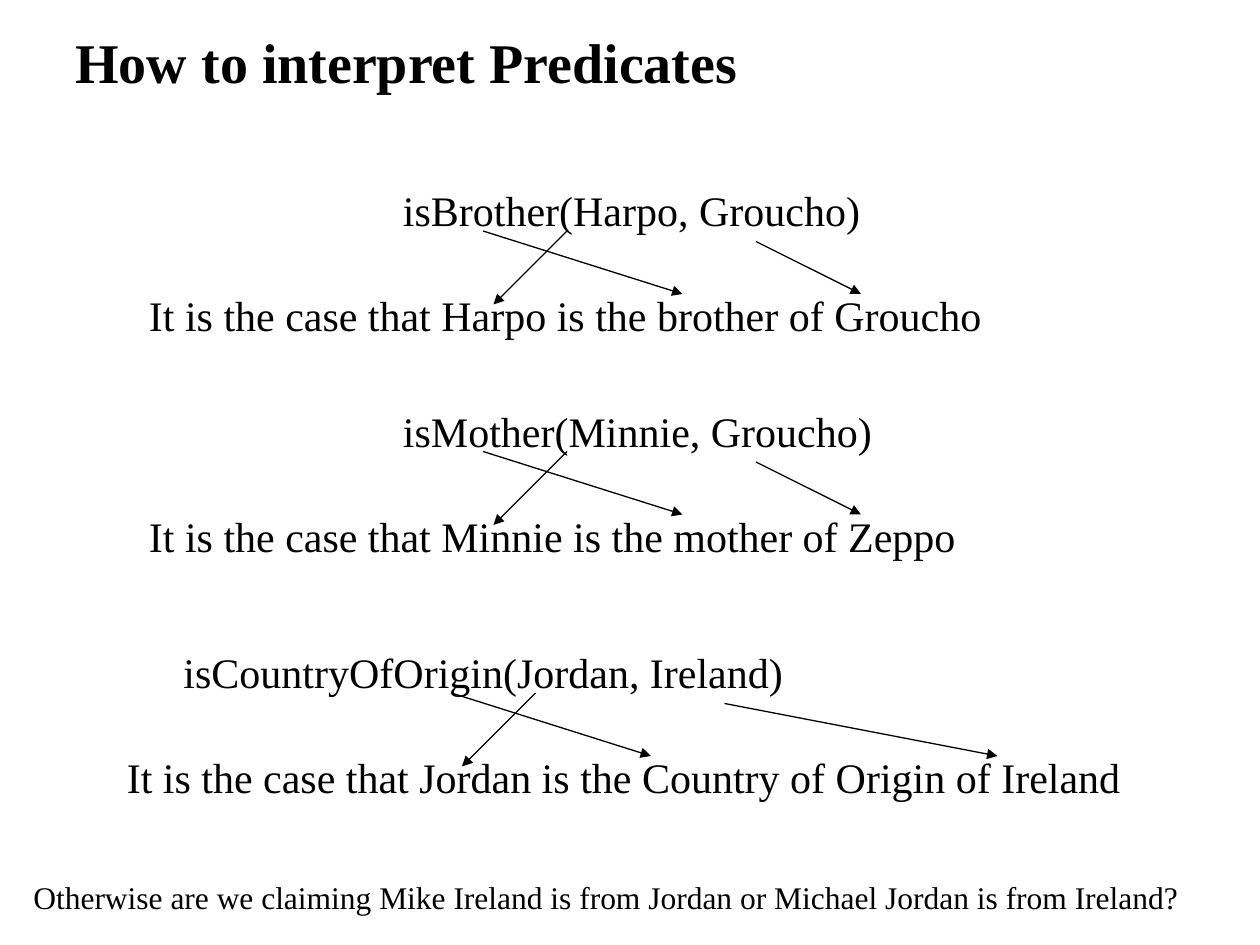
from dataclasses import dataclass

from lxml.etree import SubElement
from pptx import Presentation
from pptx.dml.color import RGBColor
from pptx.enum.shapes import MSO_CONNECTOR as Conn
from pptx.enum.text import MSO_AUTO_SIZE as Fit
from pptx.oxml.ns import qn
from pptx.util import Inches, Pt

COLORS = {"paper": "FFFFFF", "ink": "000000"}
FONT = "Times New Roman"
COLS, ROWS = 120, 90  # grid cells across and down the slide

deck = Presentation()
deck.slide_width, deck.slide_height = Inches(10), Inches(7.5)
slide = deck.slides.add_slide(deck.slide_layouts[6])
slide.background.fill.solid()
slide.background.fill.fore_color.rgb = RGBColor.from_string(COLORS["paper"])


@dataclass
class Label:
    text: str
    col: float
    width: float


@dataclass
class Case:
    row: float
    form: Label
    claim: Label
    shift: float = 0  # columns that the arrows move sideways
    end: float = 82  # column where the last arrow lands


def across(col: float) -> int:
    return round(deck.slide_width * col / COLS)


def down(row: float) -> int:
    return round(deck.slide_height * row / ROWS)


def write(label: Label, row: float, height: float, size: int = 24,
          bold: bool = False, wrap: bool = False) -> None:
    box = slide.shapes.add_textbox(across(label.col), down(row),
                                   across(label.width), down(height))
    frame = box.text_frame
    frame.word_wrap = wrap
    frame.auto_size = Fit.SHAPE_TO_FIT_TEXT
    para = frame.paragraphs[0]
    para.text = label.text
    font = para.font
    font.name, font.size, font.bold = FONT, Pt(size), bold
    font.color.rgb = RGBColor.from_string(COLORS["ink"])


def arrow(col: float, row: float, to_col: float, to_row: float) -> None:
    line = slide.shapes.add_connector(Conn.STRAIGHT, across(col), down(row),
                                      across(to_col), down(to_row))
    line.line.width = Pt(0.75)
    line.line.color.rgb = RGBColor.from_string(COLORS["ink"])
    SubElement(line.line._get_or_add_ln(), qn("a:tailEnd"), type="triangle")
    SubElement(line._element.spPr, qn("a:effectLst"))


def draw(case: Case) -> None:
    write(case.form, case.row, 6)
    write(case.claim, case.row + 10, 6)
    # First argument, predicate, second argument
    top, move = case.row, case.shift
    arrow(54 + move, top + 5, 47 + move, top + 12)
    arrow(46 + move, top + 5, 65 + move, top + 11)
    arrow(72 + move, top + 6, case.end, top + 11)


# Label widths leave a little slack, so each stays on one line
CASES = [
    Case(17, Label("isBrother(Harpo, Groucho)", 37.2, 46.3),
         Label("It is the case that Harpo is the brother of Groucho", 13, 82)),
    Case(38, Label("isMother(Minnie, Groucho)", 37.2, 47.5),
         Label("It is the case that Minnie is the mother of Zeppo", 13, 79.6)),
    Case(61, Label("isCountryOfOrigin(Jordan, Ireland)", 16.3, 59.8),
         Label("It is the case that Jordan is the Country of Origin of Ireland",
               10.9, 97.3),
         shift=-3, end=95),
]

# Title
write(Label("How to interpret Predicates", 6, 108), 2, 7.7, 32, True, True)

# Predicates with their readings
for case in CASES:
    draw(case)

# Closing question
write(Label("Otherwise are we claiming Mike Ireland is from Jordan "
            "or Michael Jordan is from Ireland?", 2, 111.7),
      83, 4.8, 18, wrap=True)

deck.save("out.pptx")
